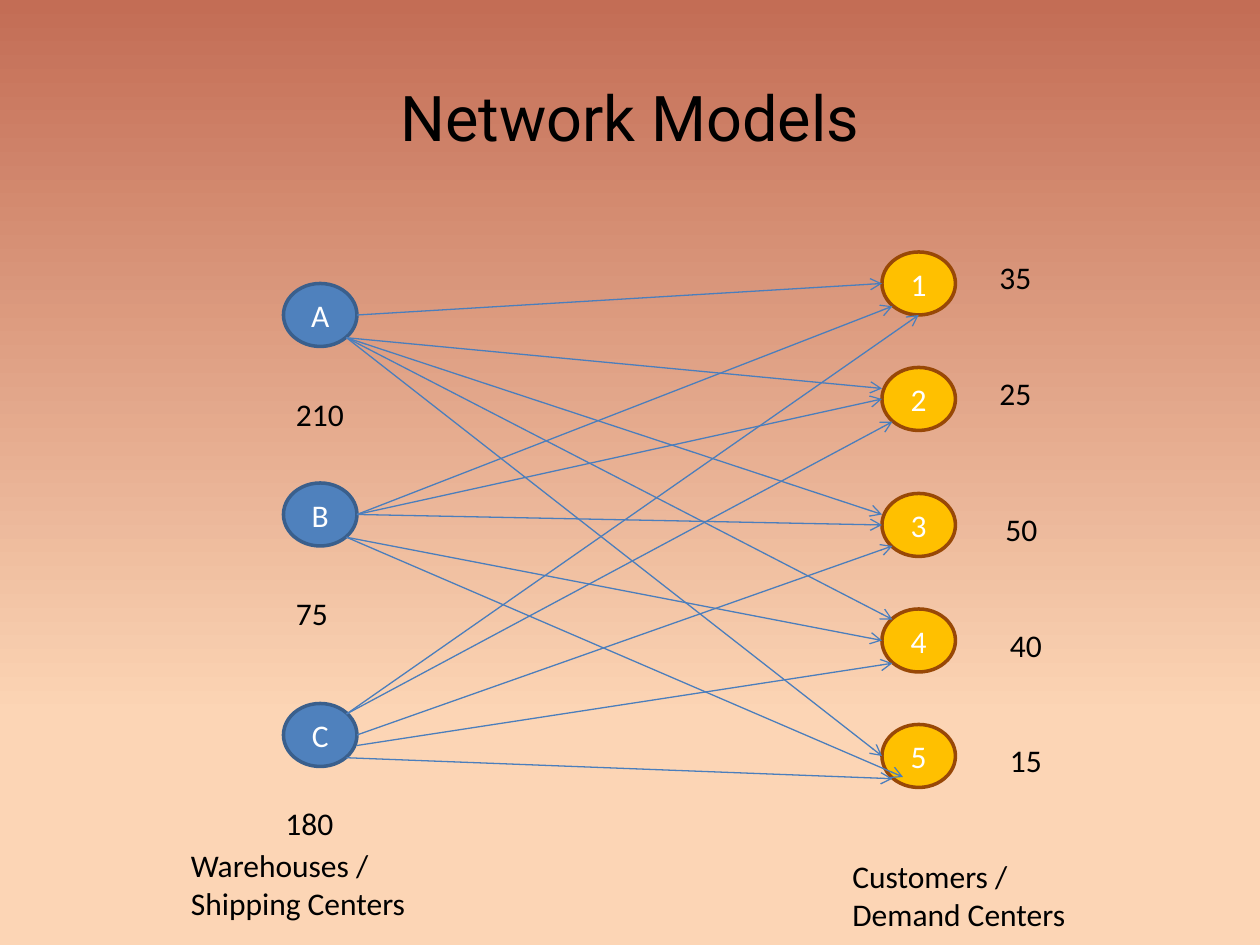
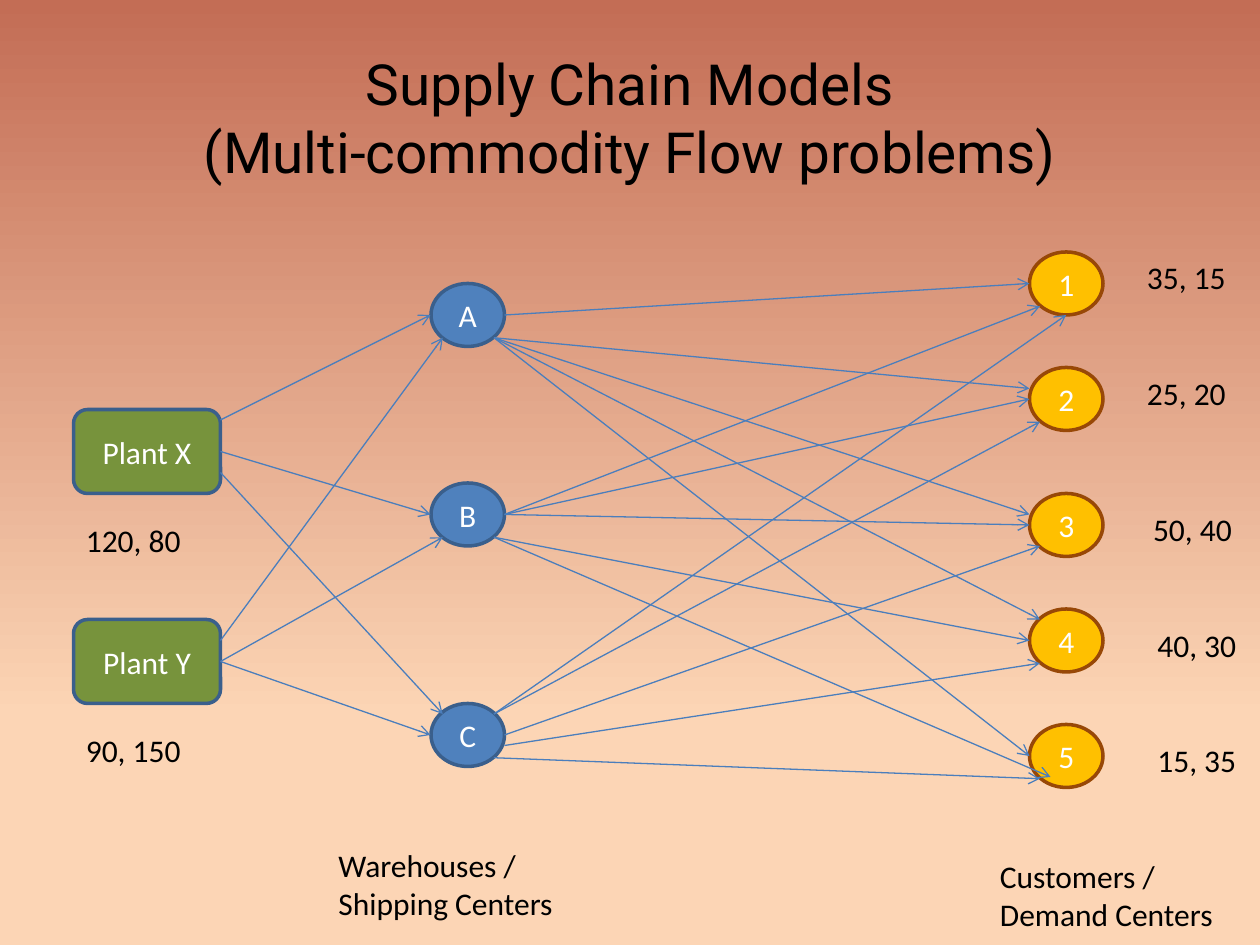
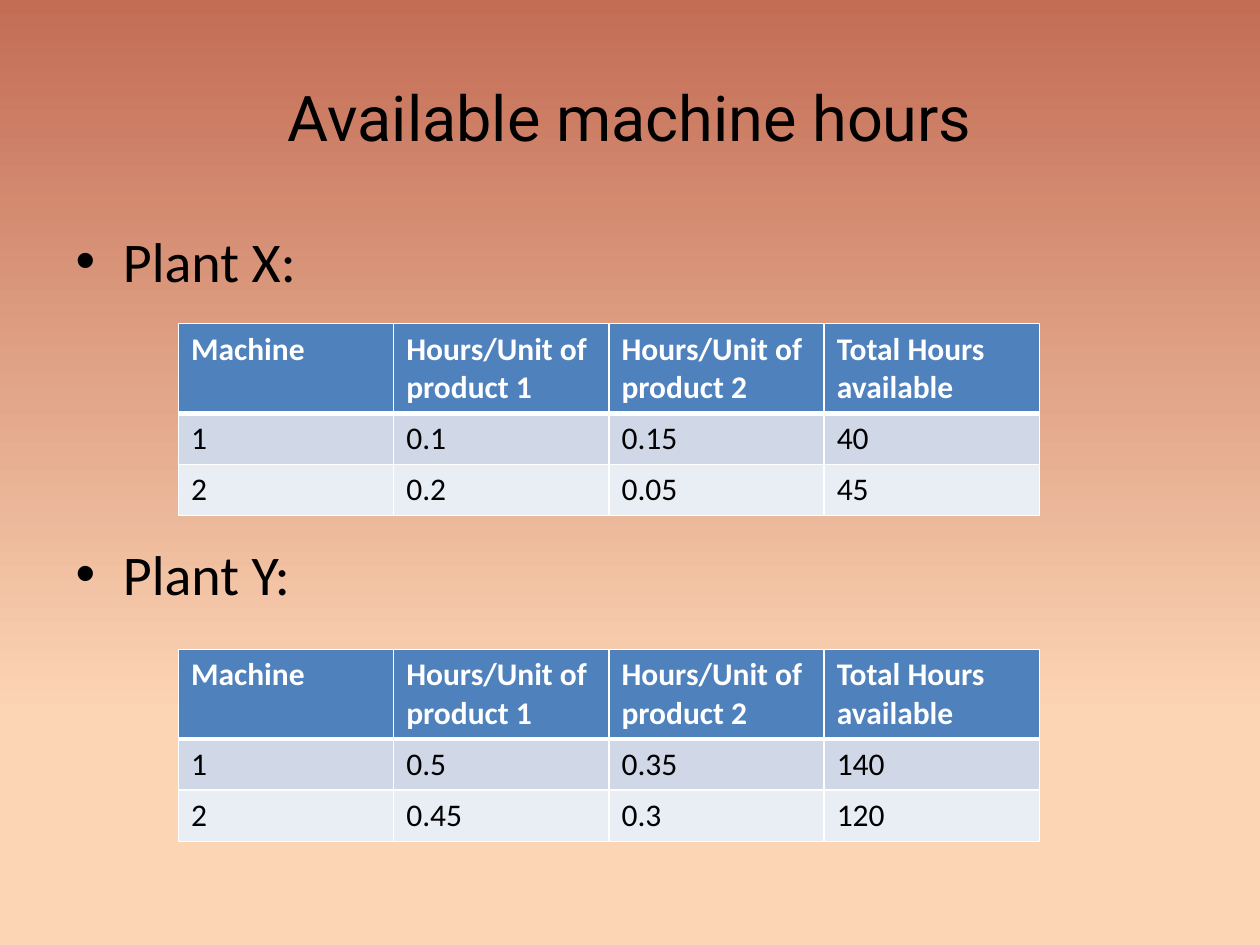
import lxml.etree
import pptx
import pptx.dml.color
import pptx.enum.shapes
import pptx.enum.text
import pptx.oxml.ns
import pptx.util

BLACK = pptx.dml.color.RGBColor(0x00, 0x00, 0x00)
WHITE = pptx.dml.color.RGBColor(0xFF, 0xFF, 0xFF)
BLUE = pptx.dml.color.RGBColor(0x4F, 0x81, 0xBD)
NAVY = pptx.dml.color.RGBColor(0x3A, 0x5F, 0x8C)
STEEL = pptx.dml.color.RGBColor(0x4B, 0x7E, 0xBC)
GOLD = pptx.dml.color.RGBColor(0xFF, 0xC0, 0x00)
BROWN = pptx.dml.color.RGBColor(0x98, 0x48, 0x07)
GREEN = pptx.dml.color.RGBColor(0x77, 0x93, 0x3C)
PEACH = pptx.dml.color.RGBColor(0xFC, 0xD5, 0xB5)
CLAY = pptx.dml.color.RGBColor(0xC3, 0x6D, 0x55)
BAND = pptx.dml.color.RGBColor(0xD0, 0xD8, 0xE8)
PALE = pptx.dml.color.RGBColor(0xE9, 0xED, 0xF4)

FONT = "Calibri"
DEPOTS = [("A", 162), ("B", 276), ("C", 402)]
CLIENTS = [("1", 144), ("2", 210), ("3", 282), ("4", 348), ("5", 414)]
NEEDS = [(564, 144), (564, 210), (567.5, 288), (570, 354), (570, 420)]
ROUTES = [
    ((204, 180), [(504, 162)]),
    ((198, 193), [(504, 222), (504, 294), (510, 354), (504, 432)]),
    ((198, 307), [(516, 444), (504, 366)]),
    ((204, 294), [(504, 300), (504, 228), (510, 175)]),
    ((198, 408), [(525, 180), (510, 241)]),
    ((204, 420), [(510, 312)]),
    ((204, 426), [(510, 379)]),
    ((198, 433), [(510, 445)]),
]
FEEDS = [
    ((126, 240), [(246, 180)]),
    ((126, 258), [(246, 294)]),
    ((126, 270), [(253, 408)]),
    ((126, 378), [(246, 420), (253, 307)]),
    ((126, 366), [(253, 193)]),
]
HEADS = ["Machine", "Hours/Unit of product 1", "Hours/Unit of product 2",
         "Total Hours available"]


def points(*sizes):
    return [pptx.util.Pt(size) for size in sizes]


def style(frame, size=18, color=BLACK, font=FONT, bold=False, align=None):
    for para in frame.paragraphs:
        if align is not None:
            para.alignment = align
        for run in para.runs:
            run.font.size = pptx.util.Pt(size)
            run.font.name = font
            run.font.bold = bold
            run.font.color.rgb = color


def paint(master):
    fill = master.background.fill
    fill.gradient()
    fill.gradient_angle = 90
    for stop, color, place in zip(fill.gradient_stops, (PEACH, CLAY), (0.24, 1)):
        stop.color.rgb = color
        stop.position = place


def start(deck, layout, text, size=36):
    slide = deck.slides.add_slide(deck.slide_layouts.get_by_name(layout))
    title = slide.shapes.title
    title.left, title.top, title.width, title.height = points(36, 21.6, 648, 90)
    frame = title.text_frame
    frame.text = text
    frame.auto_size = pptx.enum.text.MSO_AUTO_SIZE.NONE
    frame.vertical_anchor = pptx.enum.text.MSO_ANCHOR.MIDDLE
    style(frame, size, font="Roboto", align=pptx.enum.text.PP_ALIGN.CENTER)
    return slide


def node(slide, kind, text, box, fill, edge):
    shape = slide.shapes.add_shape(kind, *points(*box))
    shape.shadow.inherit = False
    shape.fill.solid()
    shape.fill.fore_color.rgb = fill
    shape.line.color.rgb = edge
    shape.line.width = pptx.util.Pt(2)
    frame = shape.text_frame
    frame.text = text
    frame.vertical_anchor = pptx.enum.text.MSO_ANCHOR.MIDDLE
    style(frame, color=WHITE, align=pptx.enum.text.PP_ALIGN.CENTER)


def label(slide, text, left, top, width, height=29):
    frame = slide.shapes.add_textbox(*points(left, top, width, height)).text_frame
    frame.text = text
    frame.word_wrap = False
    frame.auto_size = pptx.enum.text.MSO_AUTO_SIZE.SHAPE_TO_FIT_TEXT
    style(frame)


def arrow(slide, tail, head, shift=0):
    ends = points(tail[0] + shift, tail[1], head[0] + shift, head[1])
    link = slide.shapes.add_connector(
        pptx.enum.shapes.MSO_CONNECTOR.STRAIGHT, *ends)
    link.line.color.rgb = STEEL
    link.line.width = pptx.util.Pt(0.75)
    props = link.element.spPr
    line = props.find(pptx.oxml.ns.qn("a:ln"))
    lxml.etree.SubElement(line, pptx.oxml.ns.qn("a:tailEnd"), type="arrow")
    lxml.etree.SubElement(props, pptx.oxml.ns.qn("a:effectLst"))


def arrows(slide, routes, shift=0):
    for tail, heads in routes:
        for head in heads:
            arrow(slide, tail, head, shift)


def network(slide, shift, needs, width):
    oval = pptx.enum.shapes.MSO_SHAPE.OVAL
    for text, top in DEPOTS:
        node(slide, oval, text, (162 + shift, top, 42, 36), BLUE, NAVY)
    for text, top in CLIENTS:
        node(slide, oval, text, (504 + shift, top, 42, 36), GOLD, BROWN)
    arrows(slide, ROUTES, shift)
    label(slide, "Warehouses /\nShipping Centers", 102 + shift, 480, 138, 51)
    label(slide, "Customers /\nDemand Centers", 480 + shift, 486, 137.5, 51)
    for text, (left, top) in zip(needs, NEEDS):
        label(slide, text, left + shift, top, width)


def border(cell, **widths):
    props = cell._tc.get_or_add_tcPr()
    for side, width in widths.items():
        line = lxml.etree.SubElement(
            props, pptx.oxml.ns.qn("a:ln" + side), w=str(pptx.util.Pt(width)))
        fill = lxml.etree.SubElement(line, pptx.oxml.ns.qn("a:solidFill"))
        lxml.etree.SubElement(
            fill, pptx.oxml.ns.qn("a:srgbClr"), val=str(WHITE))


def table(slide, top, rows):
    grid = slide.shapes.add_table(
        3, 4, *points(102, top, 492, 108.8)).table
    fills = [BLUE, BAND, PALE]
    for r, row in enumerate([HEADS] + rows):
        grid.rows[r].height = pptx.util.Pt(29.2 if r else 50.4)
        for c, text in enumerate(row):
            cell = grid.cell(r, c)
            cell.text = text
            border(cell, L=1, R=1, T=3 if r == 1 else 1, B=1 if r else 3)
            cell.fill.solid()
            cell.fill.fore_color.rgb = fills[r]
            style(cell.text_frame, color=BLACK if r else WHITE, bold=r == 0)


def models(deck):
    slide = start(deck, "Title Only", "Network Models")
    network(slide, 0, ["35", "25", "50", "40", "15"], 33)
    for text, left, top, width in [("210", 162, 222, 42.5), ("75", 162, 336, 33),
                                   ("180", 156, 456, 42.5)]:
        label(slide, text, left, top, width)


def supply(deck):
    slide = start(deck, "Title Only",
                  "Supply Chain Models\v(Multi-commodity Flow problems)", 32.4)
    network(slide, 84.3, ["35, 15", "25, 20", "50, 40", "40, 30", "15, 35"], 60)
    for text, stock, top in [("Plant X", "120, 80", 234), ("Plant Y", "90, 150", 354)]:
        node(slide, pptx.enum.shapes.MSO_SHAPE.ROUNDED_RECTANGLE, text,
             (42, top, 84, 48), GREEN, NAVY)
        label(slide, stock, 42, top + 60, 69)
    arrows(slide, FEEDS)


def hours(deck):
    slide = start(deck, "Title and Content", "Available machine hours")
    body = slide.placeholders[1]
    body.left, body.top, body.width, body.height = points(36, 126, 648, 356.4)
    frame = body.text_frame
    frame.text = "Plant X:\nPlant Y:"
    frame.auto_size = pptx.enum.text.MSO_AUTO_SIZE.NONE
    frame.paragraphs[1].space_before = pptx.util.Pt(140.5)
    style(frame, 32)
    table(slide, 185, [["1", "0.1", "0.15", "40"], ["2", "0.2", "0.05", "45"]])
    table(slide, 371.2, [["1", "0.5", "0.35", "140"], ["2", "0.45", "0.3", "120"]])


def main():
    deck = pptx.Presentation()
    deck.slide_width, deck.slide_height = points(720, 540)
    paint(deck.slide_master)
    models(deck)
    supply(deck)
    hours(deck)
    deck.save("out.pptx")


if __name__ == "__main__":
    main()
